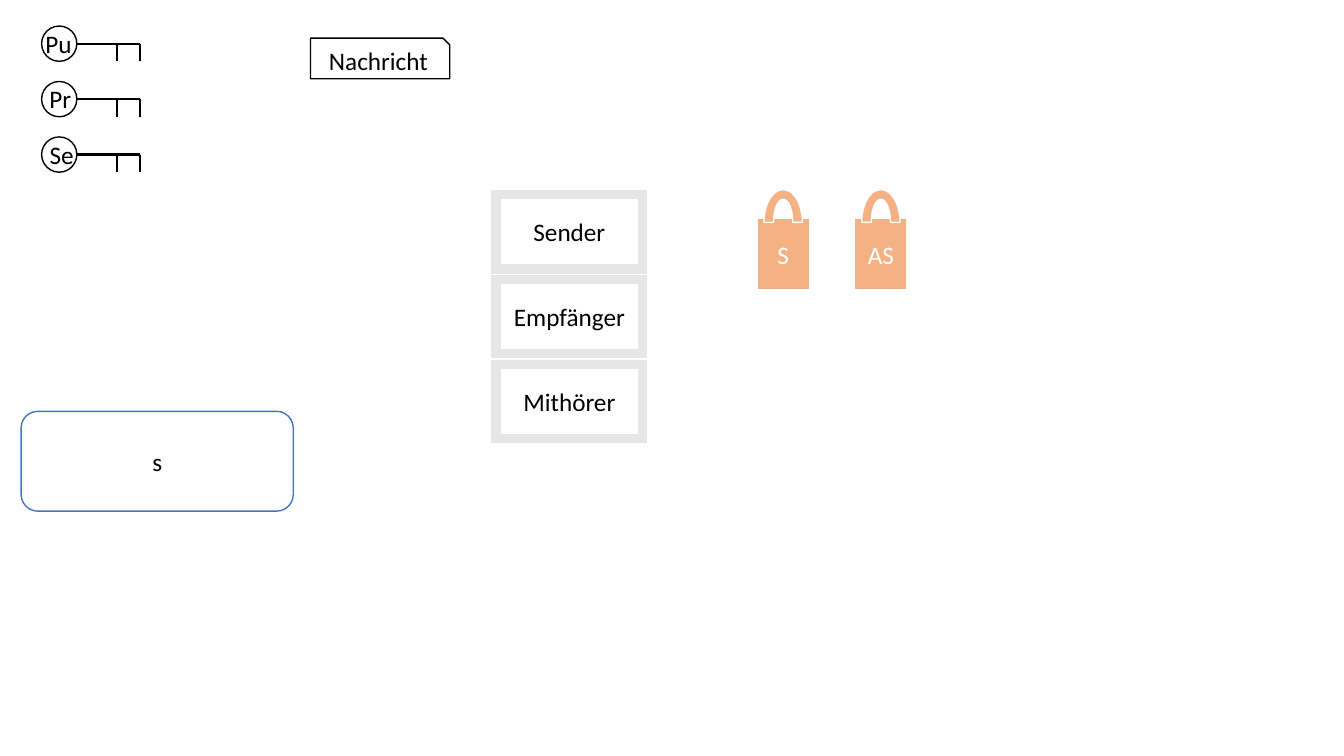
import pptx
import pptx.dml.color
import pptx.enum.shapes
import pptx.enum.text
import pptx.oxml
import pptx.util

Pt = pptx.util.Pt
SHAPE = pptx.enum.shapes.MSO_SHAPE
ALIGN = pptx.enum.text.PP_ALIGN
ANCHOR = pptx.enum.text.MSO_ANCHOR

COLORS = {
    "ink": "000000",
    "paper": "FFFFFF",
    "frame": "E7E6E6",
    "bag": "F4B183",
    "outline": "4472C4",
}


def rgb(name):
    return pptx.dml.color.RGBColor.from_string(COLORS[name])


def add_label(frame, text, color, align):
    paragraph = frame.paragraphs[0]
    paragraph.alignment = align
    run = paragraph.add_run()
    run.text = text
    run.font.name = "Calibri"
    run.font.size = Pt(18)
    run.font.color.rgb = rgb(color)


def add_figure(slide, kind, box, fill, line, text="", color="ink"):
    figure = slide.shapes.add_shape(kind, *map(Pt, box))
    figure.shadow.inherit = False
    if fill:
        figure.fill.solid()
        figure.fill.fore_color.rgb = rgb(fill)
    else:
        figure.fill.background()
    figure.line.color.rgb = rgb(line)
    figure.line.width = Pt(1)
    if text:
        figure.text_frame.vertical_anchor = ANCHOR.MIDDLE
        add_label(figure.text_frame, text, color, ALIGN.CENTER)


def add_stroke(slide, *ends):
    stroke = slide.shapes.add_connector(
        pptx.enum.shapes.MSO_CONNECTOR.STRAIGHT, *map(Pt, ends))
    stroke.line.color.rgb = rgb("ink")
    stroke.line.width = Pt(1.5)
    stroke._element.spPr.append(pptx.oxml.parse_xml(
        '<a:effectLst xmlns:a="http://schemas.openxmlformats.org/drawingml/2006/main"/>'))


def add_key(slide, left, top, name, name_left, name_width):
    """Ring with a name, a shaft and two teeth."""
    ring = 25.2
    shaft_y = top + ring / 2
    tip = left + 70.6
    add_figure(slide, SHAPE.OVAL, (left, top, ring, ring), None, "ink")
    add_stroke(slide, left + ring, shaft_y, tip, shaft_y)
    for tooth_x in (tip, tip - 16.6):
        add_stroke(slide, tooth_x, shaft_y, tooth_x, shaft_y + 12.6)
    label = slide.shapes.add_textbox(
        Pt(name_left), Pt(top - 2), Pt(name_width), Pt(29))
    label.text_frame.word_wrap = False
    add_label(label.text_frame, name, "ink", ALIGN.LEFT)


def add_keys(slide, left, top):
    names = (("Pu", -4.3, 33), ("Pr", -1.4, 30), ("Se", -1.4, 32))
    for row, (name, shift, width) in enumerate(names):
        add_key(slide, left, top + row * 39.6, name, left + shift, width)


def add_roles(slide, left, top, width, height):
    for row, role in enumerate(("Sender", "Empfänger", "Mithörer")):
        add_figure(slide, SHAPE.FRAME, (left, top + row * 60.6, width, height),
                   "frame", "paper", role)


def add_bag(slide, left, top, width, height, name):
    """Bag body with a handle centred above it."""
    body_top = top + 20.9
    handle_width = 27.4
    add_figure(slide, SHAPE.RECTANGLE,
               (left, body_top, width, top + height - body_top),
               "bag", "paper", name, "paper")
    add_figure(slide, SHAPE.BLOCK_ARC,
               (left + (width - handle_width) / 2, top, handle_width, 46.8),
               "bag", "paper")


def build_slide(deck):
    slide = deck.slides.add_slide(deck.slide_layouts[6])
    # Keys and message
    add_keys(slide, 29.7, 18.6)
    add_figure(slide, SHAPE.SNIP_1_RECTANGLE, (221.8, 27.2, 99.4, 29),
               None, "ink", "Nachricht")
    # Participants
    add_roles(slide, 350.6, 135.4, 112.3, 60.5)
    # Bags
    for column, name in enumerate(("S", "AS")):
        add_bag(slide, 540.7 + column * 69.8, 135.4, 37.4, 71.3, name)
    # Rounded box
    add_figure(slide, SHAPE.ROUNDED_RECTANGLE, (15.1, 293.8, 194.4, 71.3),
               "paper", "outline", "s")


def main():
    deck = pptx.Presentation()
    deck.slide_width = Pt(960)
    deck.slide_height = Pt(540)
    build_slide(deck)
    deck.save("out.pptx")


if __name__ == "__main__":
    main()
